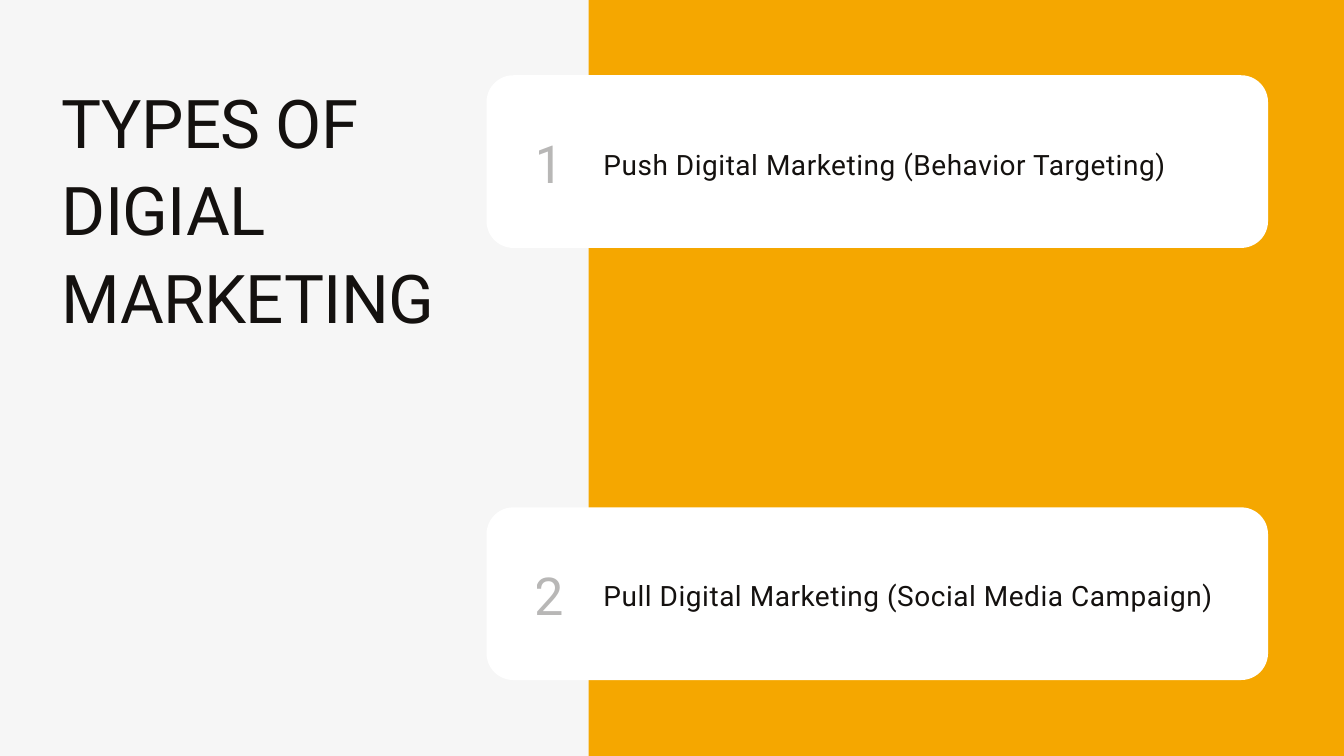
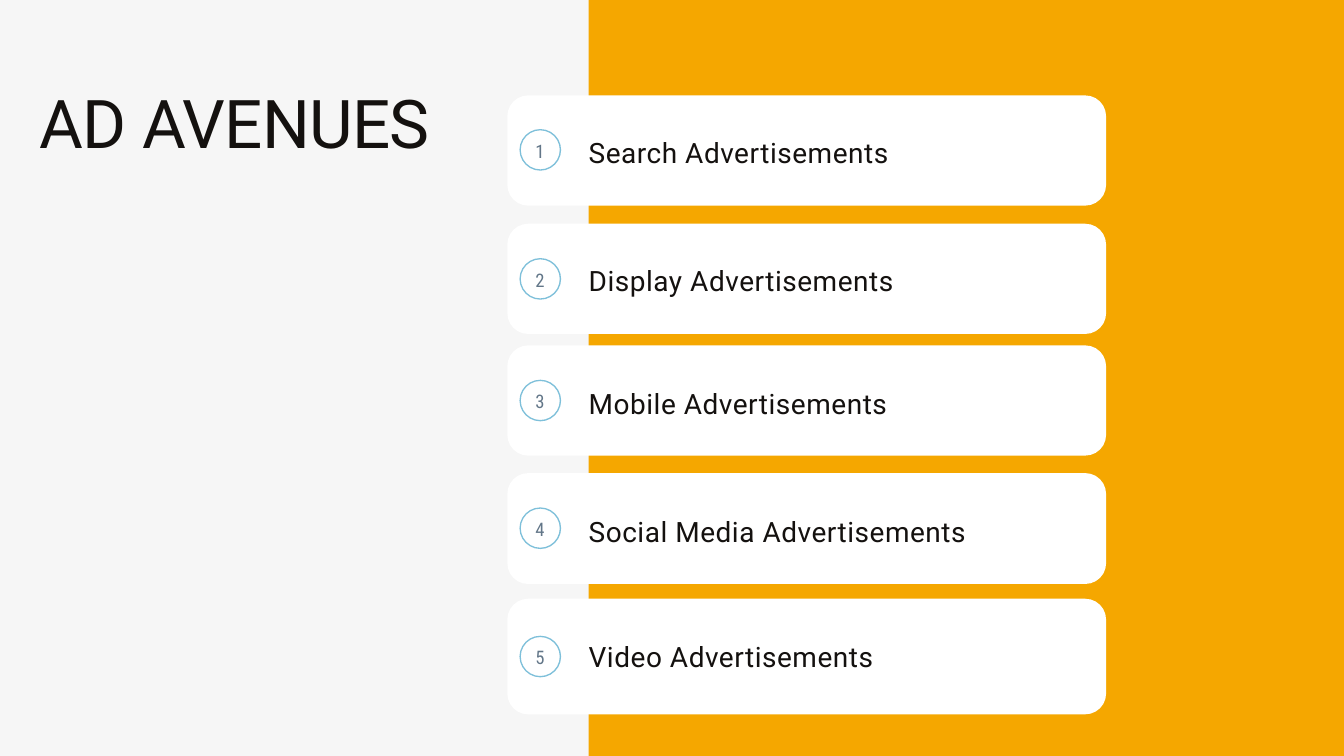
from dataclasses import dataclass

import pptx
import pptx.dml.color
import pptx.enum.shapes
import pptx.enum.text
import pptx.oxml
import pptx.oxml.ns
import pptx.presentation
import pptx.shapes.autoshape
import pptx.slide
import pptx.text.text
import pptx.util
from lxml import etree

Inches = pptx.util.Inches
RGBColor = pptx.dml.color.RGBColor
SHAPE = pptx.enum.shapes.MSO_SHAPE
ALIGN = pptx.enum.text.PP_ALIGN

PAPER = RGBColor(0xF6, 0xF6, 0xF6)
AMBER = RGBColor(0xF5, 0xA7, 0x00)
WHITE = RGBColor(0xFF, 0xFF, 0xFF)
INK = RGBColor(0x14, 0x11, 0x0F)
SLATE = RGBColor(0x62, 0x76, 0x88)
SKY = RGBColor(0x7E, 0xC0, 0xDA)

SLIDE_W, SLIDE_H = 20, 11.25
BAND_LEFT = 8.76
RING_SIZE, RING_WIDTH = 0.62, 0.02


@dataclass(frozen=True)
class Box:
    left: float
    top: float
    width: float
    height: float

    def emu(self) -> tuple[int, int, int, int]:
        return (Inches(self.left), Inches(self.top),
                Inches(self.width), Inches(self.height))


@dataclass(frozen=True)
class Style:
    size: float
    leading: float
    color: RGBColor = INK
    font: str = "Roboto"
    tracking: float = 0
    align: ALIGN = ALIGN.LEFT
    opacity: int = 100


@dataclass(frozen=True)
class Avenue:
    label: str
    top: float
    height: float
    label_top: float
    ring_top: float


TITLE = Style(72, 93.6, tracking=-0.7)
LABEL = Style(30, 39, tracking=0.6)
BIG_NUMBER = Style(56, 72.8, tracking=-0.6, opacity=30)
RING_NUMBER = Style(20, 28, SLATE, "Roboto Condensed", align=ALIGN.CENTER)

TYPES = [
    "Push Digital Marketing (Behavior Targeting)",
    "Pull Digital Marketing (Social Media Campaign)",
]

AVENUES = [
    Avenue("Search Advertisements", 1.42, 1.64, 1.97, 1.92),
    Avenue("Display Advertisements", 3.33, 1.64, 3.88, 3.84),
    Avenue("Mobile Advertisements", 5.14, 1.64, 5.71, 5.65),
    Avenue("Social Media Advertisements", 7.04, 1.65, 7.61, 7.55),
    Avenue("Video Advertisements", 8.91, 1.72, 9.48, 9.46),
]


def write(tf: pptx.text.text.TextFrame, text: str, style: Style) -> None:
    tf.word_wrap = True
    tf.auto_size = pptx.enum.text.MSO_AUTO_SIZE.NONE
    tf.vertical_anchor = pptx.enum.text.MSO_ANCHOR.TOP
    tf.margin_left = tf.margin_top = tf.margin_right = tf.margin_bottom = 0
    p = tf.paragraphs[0]
    p.alignment = style.align
    p.line_spacing = pptx.util.Pt(style.leading)
    p.font.size = pptx.util.Pt(style.size)
    p.font.name = style.font
    p.font.color.rgb = style.color
    r = p.add_run()
    r.text = text
    if style.tracking:
        r.font._element.set("spc", str(round(style.tracking * 100)))
    if style.opacity < 100:
        r.font.color.rgb = style.color
        color = r.font._element.find(".//" + pptx.oxml.ns.qn("a:srgbClr"))
        alpha = etree.SubElement(color, pptx.oxml.ns.qn("a:alpha"))
        alpha.set("val", str(style.opacity * 1000))


def add_text(s: pptx.slide.Slide, box: Box, text: str, style: Style) -> None:
    write(s.shapes.add_textbox(*box.emu()).text_frame, text, style)


def add_filled(s: pptx.slide.Slide, kind: SHAPE, box: Box,
               color: RGBColor) -> pptx.shapes.autoshape.Shape:
    sp = s.shapes.add_shape(kind, *box.emu())
    sp.shadow.inherit = False
    sp.fill.solid()
    sp.fill.fore_color.rgb = color
    sp.line.fill.background()
    return sp


def add_card(s: pptx.slide.Slide, box: Box, radius: float) -> None:
    sp = add_filled(s, SHAPE.ROUNDED_RECTANGLE, box, WHITE)
    sp.adjustments[0] = radius / box.height


def add_ring(s: pptx.slide.Slide, left: float, top: float, number: int) -> None:
    ring = Box(left, top, RING_SIZE, RING_SIZE)
    sp = add_filled(s, SHAPE.DONUT, ring, SKY)
    sp.adjustments[0] = RING_WIDTH / RING_SIZE
    inner = Box(left + 0.09, top + 0.1, 0.43, 0.37)
    add_text(s, inner, str(number), RING_NUMBER)


def add_slide(prs: pptx.presentation.Presentation, title: str,
              box: Box) -> pptx.slide.Slide:
    s = prs.slides.add_slide(prs.slide_layouts.get_by_name("Title Only"))
    sp = s.shapes.title
    sp.left, sp.top, sp.width, sp.height = box.emu()
    write(sp.text_frame, title, TITLE)
    band = Box(BAND_LEFT, 0, SLIDE_W - BAND_LEFT, SLIDE_H)
    add_filled(s, SHAPE.RECTANGLE, band, AMBER)
    return s


def build_types(prs: pptx.presentation.Presentation) -> None:
    s = add_slide(prs, "TYPES OF DIGIAL MARKETING", Box(0.92, 1.11, 6.11, 5.16))
    for i, label in enumerate(TYPES):
        top = 1.12 + i * 6.43
        add_card(s, Box(7.24, top, 11.63, 2.57), 0.4)
        add_text(s, Box(7.96, top + 0.75, 1.02, 1.01), str(i + 1), BIG_NUMBER)
        add_text(s, Box(8.98, 2.16 + i * 6.4, 9.36, 0.52), label, LABEL)


def build_avenues(prs: pptx.presentation.Presentation) -> None:
    s = add_slide(prs, "AD AVENUES", Box(0.59, 1.11, 6.96, 2.56))
    for number, avenue in enumerate(AVENUES, 1):
        add_card(s, Box(7.55, avenue.top, 8.91, avenue.height), 0.31)
        add_text(s, Box(BAND_LEFT, avenue.label_top, 8.8, 0.54),
                 avenue.label, LABEL)
        add_ring(s, 7.73, avenue.ring_top, number)


def main() -> None:
    prs = pptx.Presentation()
    prs.slide_width, prs.slide_height = Inches(SLIDE_W), Inches(SLIDE_H)
    fill = prs.slide_master.background.fill
    fill.solid()
    fill.fore_color.rgb = PAPER
    build_types(prs)
    build_avenues(prs)
    prs.save("out.pptx")


main()
